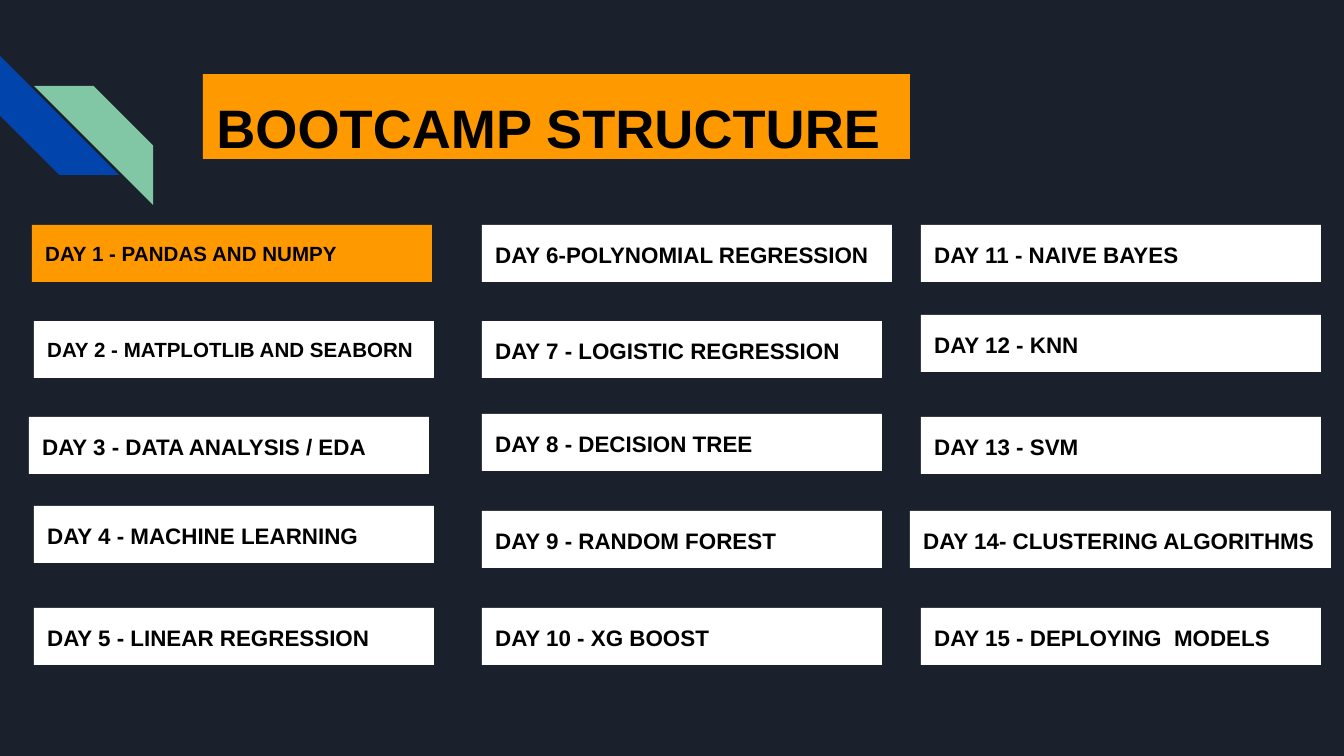
from pptx import Presentation
from pptx import util as u
from pptx.dml import color
from pptx.enum import shapes, text

PX = 9144000 / 1344
NAVY, ORANGE, WHITE, BLACK = "1B212C", "FF9900", "FFFFFF", "000000"
BLUE, GREEN = "0145AC", "82C7A5"
BOX_HEIGHT = 57

DAY_COLUMNS = [
    (34, 400, [
        ("DAY 1 - PANDAS AND NUMPY", 225, {"left": 32, "size": 11, "fill": ORANGE}),
        ("DAY 2 - MATPLOTLIB AND SEABORN", 321, {"size": 11}),
        ("DAY 3 - DATA ANALYSIS / EDA", 417, {"left": 29}),
        ("DAY 4 - MACHINE LEARNING", 506, {}),
        ("DAY 5 - LINEAR REGRESSION", 608, {}),
    ]),
    (482, 400, [
        ("DAY 6-POLYNOMIAL REGRESSION", 225, {"width": 410}),
        ("DAY 7 - LOGISTIC REGRESSION", 321, {}),
        ("DAY 8 - DECISION TREE", 414, {}),
        ("DAY 9 - RANDOM FOREST", 511, {}),
        ("DAY 10 - XG BOOST", 608, {}),
    ]),
    (921, 400, [
        ("DAY 11 - NAIVE BAYES", 225, {}),
        ("DAY 12 - KNN", 315, {}),
        ("DAY 13 - SVM", 417, {}),
        ("DAY 14- CLUSTERING ALGORITHMS", 511, {"left": 910, "width": 421}),
        ("DAY 15 - DEPLOYING  MODELS", 608, {}),
    ]),
]


def px(length):
    return u.Emu(round(length * PX))


def paint(fill, hex_color):
    fill.solid()
    fill.fore_color.rgb = color.RGBColor.from_string(hex_color)


def write_label(shape, label, size, fill):
    paint(shape.fill, fill)
    frame = shape.text_frame
    frame.text = label
    frame.word_wrap = True
    frame.auto_size = text.MSO_AUTO_SIZE.NONE
    frame.vertical_anchor = text.MSO_ANCHOR.TOP
    frame.margin_left = frame.margin_right = u.Inches(0.1)
    frame.margin_top = frame.margin_bottom = u.Inches(0.1)
    paragraph = frame.paragraphs[0]
    paragraph.alignment = text.PP_ALIGN.LEFT
    paragraph.line_spacing = 1.1
    paragraph.space_before = u.Pt(0)
    font = paragraph.font
    font.name, font.size, font.bold = "Arial", u.Pt(size), True
    font.color.rgb = color.RGBColor.from_string(BLACK)


def add_stripe(slide, left, top, rotation, fill):
    stripe = slide.shapes.add_shape(
        shapes.MSO_SHAPE.DIAGONAL_STRIPE, px(left), px(top), px(119), px(119))
    stripe.rotation = rotation
    stripe.shadow.inherit = False
    stripe.line.fill.background()
    paint(stripe.fill, fill)


def add_title(slide, label):
    title = slide.shapes.title
    title.left, title.top, title.width, title.height = map(px, (203, 74, 707, 85))
    write_label(title, label, 29, ORANGE)


def add_day(slide, label, left, top, width, size=12, fill=WHITE):
    box = slide.shapes.add_textbox(px(left), px(top), px(width), px(BOX_HEIGHT))
    write_label(box, label, size, fill)


def main():
    presentation = Presentation()
    presentation.slide_width, presentation.slide_height = px(1344), px(756)
    slide = presentation.slides.add_slide(presentation.slide_layouts[5])
    paint(slide.background.fill, NAVY)
    add_stripe(slide, 0, 56, 270, BLUE)
    add_stripe(slide, 34, 86, 90, GREEN)
    add_title(slide, "BOOTCAMP STRUCTURE")
    for left, width, days in DAY_COLUMNS:
        for label, top, changes in days:
            add_day(slide, label, top=top, **{"left": left, "width": width, **changes})
    presentation.save("out.pptx")


if __name__ == "__main__":
    main()
